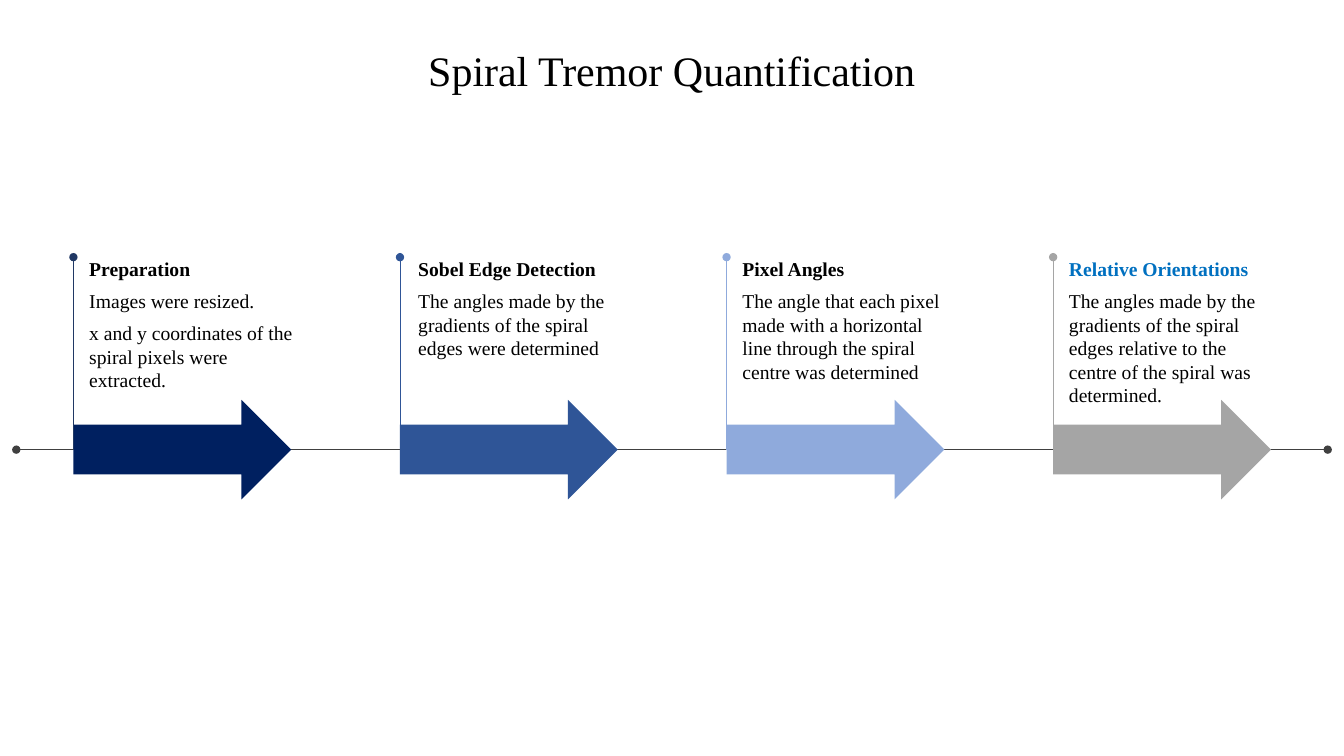
"""Build the Spiral Tremor Quantification process slide."""
from lxml import etree
from pptx import Presentation
from pptx.dml.color import RGBColor
from pptx.enum.shapes import MSO_CONNECTOR, MSO_SHAPE
from pptx.enum.text import MSO_ANCHOR, MSO_AUTO_SIZE, PP_ALIGN
from pptx.oxml.ns import qn
from pptx.util import Cm, Pt

STRAIGHT = MSO_CONNECTOR.STRAIGHT
RIGHT_ARROW = MSO_SHAPE.RIGHT_ARROW
TOP, MIDDLE = MSO_ANCHOR.TOP, MSO_ANCHOR.MIDDLE
CENTER, LEFT = PP_ALIGN.CENTER, PP_ALIGN.LEFT
NO_FIT = MSO_AUTO_SIZE.NONE

FONT = "Times New Roman"
COLORS = {
    "text": "000000", "accent": "0070C0", "axis": "404040",
    "navy": "002060", "navy_line": "203864", "blue": "2F5597",
    "light": "8FAADC", "gray": "A5A5A5",
}

TITLE = "Spiral Tremor Quantification"
STEPS = [
    ("Preparation", "text", "navy", "navy_line", 0.4,
     ["Images were resized.",
      "x and y coordinates of the spiral pixels were extracted."]),
    ("Sobel Edge Detection", "text", "blue", "blue", 0.46,
     ["The angles made by the gradients of the spiral edges were determined"]),
    ("Pixel Angles", "text", "light", "light", 0.4,
     ["The angle that each pixel made with a horizontal line through the "
      "spiral centre was determined"]),
    ("Relative Orientations", "accent", "gray", "gray", 0.4,
     ["The angles made by the gradients of the spiral edges relative to the "
      "centre of the spiral was determined."]),
]

SLIDE_W, SLIDE_H = 33.87, 19.05
FIRST_X, PITCH = 1.85, 8.23
ARROW_W, ARROW_H = 5.49, 2.51
AXIS_Y, STEM_TOP = 11.33, 6.48
AXIS_MARGIN = 0.41
TEXT_W, TEXT_H = 5.16, 4.2


def rgb(name):
    return RGBColor.from_string(COLORS[name])


def set_font(p, size, color, bold=False):
    p.font.name = FONT
    p.font.size = Pt(size)
    p.font.bold = bold
    p.font.color.rgb = rgb(color)


def add_line(s, x1, y1, x2, y2, color, ends):
    line = s.shapes.add_connector(STRAIGHT, Cm(x1), Cm(y1), Cm(x2), Cm(y2))
    line.line.color.rgb = rgb(color)
    line.line.width = Pt(0.5)
    ln = line.line._get_or_add_ln()
    for end in ends:
        etree.SubElement(ln, qn(f"a:{end}"), type="oval")
    etree.SubElement(line._element.spPr, qn("a:effectLst"))
    return line


def add_title(s):
    title = s.shapes.title
    title.left, title.top = Cm(0), Cm(0.99)
    title.width, title.height = Cm(SLIDE_W), Cm(1.55)
    tf = title.text_frame
    tf.text = TITLE
    tf.auto_size = NO_FIT
    tf.vertical_anchor = MIDDLE
    p = tf.paragraphs[0]
    p.alignment = CENTER
    set_font(p, 30, "text")


def add_step(s, x, heading, heading_color, fill, stem_color, indent, lines):
    arrow = s.shapes.add_shape(RIGHT_ARROW, Cm(x), Cm(AXIS_Y - ARROW_H / 2),
                               Cm(ARROW_W), Cm(ARROW_H))
    arrow.shadow.inherit = False
    arrow.fill.solid()
    arrow.fill.fore_color.rgb = rgb(fill)
    arrow.line.fill.background()

    box = s.shapes.add_textbox(Cm(x + indent), Cm(STEM_TOP), Cm(TEXT_W), Cm(TEXT_H))
    tf = box.text_frame
    tf.word_wrap = True
    tf.vertical_anchor = TOP
    tf.margin_left = tf.margin_right = tf.margin_top = tf.margin_bottom = 0
    p = tf.paragraphs[0]
    p.text = heading
    p.alignment = LEFT
    set_font(p, 14, heading_color, bold=True)
    for text in lines:
        p = tf.add_paragraph()
        p.text = text
        p.alignment = LEFT
        p.space_before = Pt(6)
        set_font(p, 14, "text")

    stem = add_line(s, x, AXIS_Y, x, STEM_TOP, stem_color, ["tailEnd"])
    stem.begin_connect(arrow, 1)


def main():
    prs = Presentation()
    prs.slide_width, prs.slide_height = Cm(SLIDE_W), Cm(SLIDE_H)
    s = prs.slides.add_slide(prs.slide_layouts[5])
    add_title(s)
    add_line(s, AXIS_MARGIN, AXIS_Y, SLIDE_W - AXIS_MARGIN, AXIS_Y, "axis",
             ["headEnd", "tailEnd"])
    for i, step in enumerate(STEPS):
        add_step(s, FIRST_X + i * PITCH, *step)
    prs.save("out.pptx")


if __name__ == "__main__":
    main()
